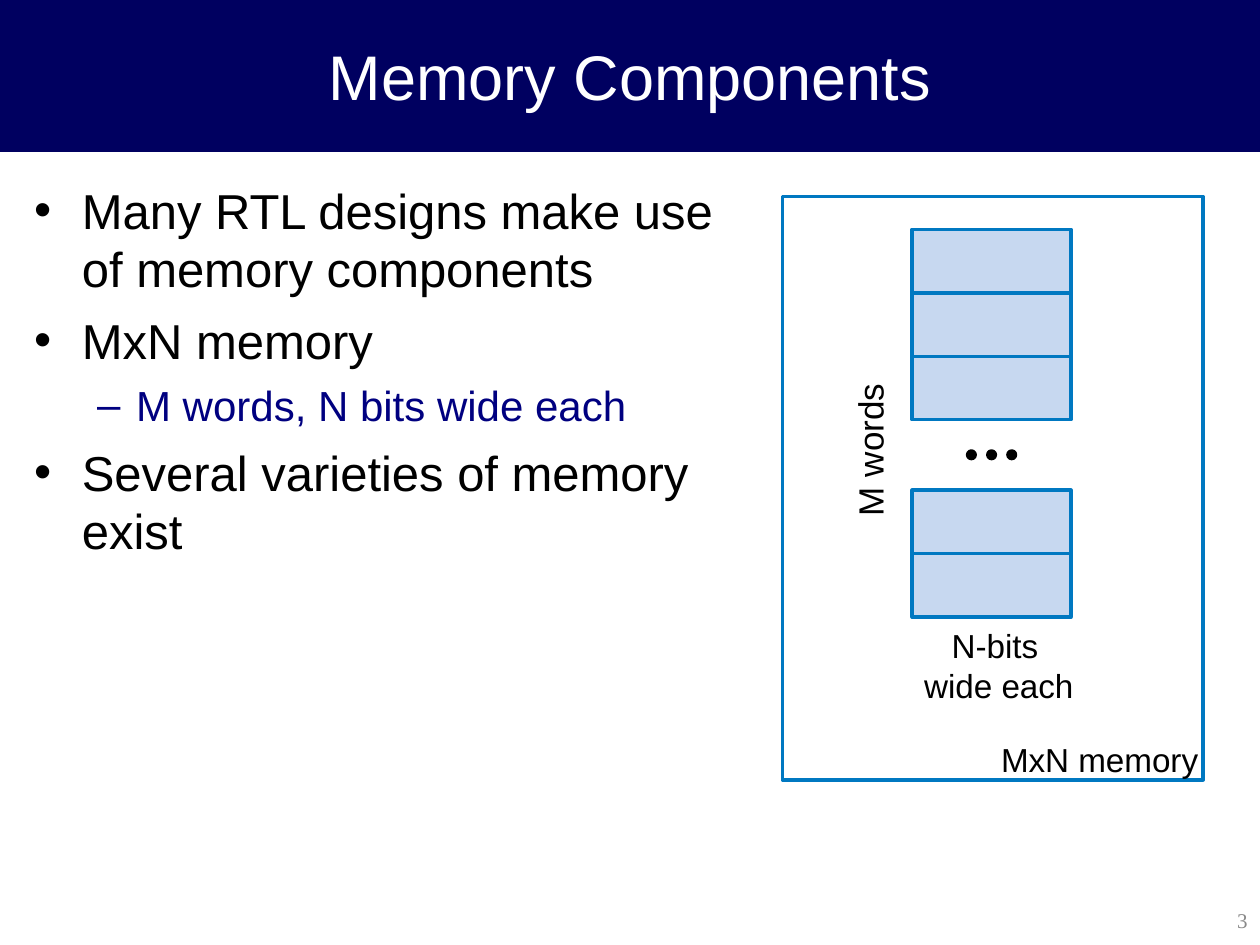
from pptx import Presentation
from pptx.dml.color import RGBColor
from pptx.enum.shapes import MSO_CONNECTOR, MSO_SHAPE
from pptx.enum.text import MSO_ANCHOR, PP_ALIGN
from pptx.oxml.ns import qn
from pptx.util import Inches, Pt
from lxml.etree import SubElement

THEME = {
    "navy": "000060", "white": "FFFFFF", "black": "000000", "sub": "000080",
    "gray": "898989", "edge": "0078C1", "cell": "C7D8F0",
    "sans": "Arial", "serif": "Times New Roman",
    "title": 36, "body": 28, "minor": 24, "words": 20, "label": 19, "page": 12,
}
TITLE = "Memory Components"
POINTS = [
    (0, "Many RTL designs make use of memory components"),
    (0, "MxN memory"),
    (1, "M words, N bits wide each"),
    (0, "Several varieties of memory exist"),
]
# bullet, text indent, hanging, space before, size, colour
LEVELS = [("•", 0.38, 0.38, 7, "body", "black"),
          ("–", 0.81, 0.31, 6, "minor", "sub")]
LABELS = [("N-bits", 7.55, 4.96, 0.69), ("wide each", 7.33, 5.28, 1.19),
          ("MxN memory", 7.87, 5.87, 1.64)]
FRAME = (6.21, 1.56, 3.34, 4.63)
BLOCKS = [(1.82, 3), (3.89, 2)]  # top, number of words
LEFT, WIDTH, ROW = 7.24, 1.26, 0.504
DOTS, DOT_TOP, DOT_GAP, DOT = 3, 3.58, 0.16, 0.06

deck = Presentation()
deck.slide_width, deck.slide_height = Inches(10), Inches(7.5)
slide = deck.slides.add_slide(deck.slide_layouts[6])
shapes = slide.shapes


def color(name):
    return RGBColor.from_string(THEME[name])


def style(para, size, ink, font="sans"):
    for run in para.runs:
        run.font.size = Pt(THEME[size])
        run.font.name = THEME[font]
        run.font.color.rgb = color(ink)


def shape(kind, box, fill, edge, weight=2):
    item = shapes.add_shape(kind, *map(Inches, box))
    item.shadow.inherit = False
    if fill:
        item.fill.solid()
        item.fill.fore_color.rgb = color(fill)
    else:
        item.fill.background()
    item.line.color.rgb = color(edge)
    item.line.width = Pt(weight)
    return item


def frame(box, inset=(0, 0), wrap=True):
    """Add a text box with (side, top) insets."""
    item = shapes.add_textbox(*map(Inches, box))
    text = item.text_frame
    text.word_wrap = wrap
    text.margin_left = text.margin_right = Inches(inset[0])
    text.margin_top = text.margin_bottom = Inches(inset[1])
    return item


def label(words, box, size, ink="black", font="sans", align=PP_ALIGN.LEFT,
          inset=(0, 0), wrap=False, anchor=MSO_ANCHOR.TOP):
    item = frame(box, inset, wrap)
    item.text_frame.text = words
    item.text_frame.vertical_anchor = anchor
    para = item.text_frame.paragraphs[0]
    para.alignment = align
    style(para, size, ink, font)
    return item


def bullet(para, mark, indent, hang):
    props = para._p.get_or_add_pPr()
    props.set("marL", str(Inches(indent)))
    props.set("indent", str(-Inches(hang)))
    SubElement(props, qn("a:buFont")).set("typeface", THEME["sans"])
    SubElement(props, qn("a:buChar")).set("char", mark)


def rule(y):
    line = shapes.add_connector(MSO_CONNECTOR.STRAIGHT, Inches(LEFT), Inches(y),
                                Inches(LEFT + WIDTH), Inches(y))
    line.line.color.rgb = color("edge")
    line.line.width = Pt(2)
    SubElement(line._element.spPr, qn("a:effectLst"))


banner = (0, 0, 10, 1.2)
shape(MSO_SHAPE.RECTANGLE, banner, "navy", "navy", 0.75)
label(TITLE, banner, "title", "white", align=PP_ALIGN.CENTER, wrap=True,
      anchor=MSO_ANCHOR.MIDDLE)

body = frame((0.18, 1.38, 6.01, 5.72), (0.09, 0.05)).text_frame
body.margin_right = Inches(0.2)
body.text = "\n".join(words for _, words in POINTS)
for para, (level, _) in zip(body.paragraphs, POINTS):
    mark, indent, hang, before, size, ink = LEVELS[level]
    para.level = level
    para.space_before = Pt(before)
    bullet(para, mark, indent, hang)
    style(para, size, ink)

label("3", (7.88, 7.1, 2.12, 0.4), "page", "gray", "serif", PP_ALIGN.RIGHT,
      (0.1, 0.05), True, MSO_ANCHOR.MIDDLE)

shape(MSO_SHAPE.RECTANGLE, FRAME, None, "edge")
for top, count in BLOCKS:
    shape(MSO_SHAPE.RECTANGLE, (LEFT, top, WIDTH, count * ROW), "cell", "edge")
    for row in range(1, count):
        rule(top + row * ROW)

first = LEFT + WIDTH / 2 - DOT_GAP - DOT / 2
for i in range(DOTS):
    shape(MSO_SHAPE.OVAL, (first + i * DOT_GAP, DOT_TOP, DOT, DOT),
          "black", "black")

for words, x, y, width in LABELS:
    label(words, (x, y, width, 0.32), "label", align=PP_ALIGN.RIGHT)
side = label("M words", (6.28, 3.35, 1.25, 0.44), "words", inset=(0.1, 0.05))
side.rotation = 270

deck.save("out.pptx")
